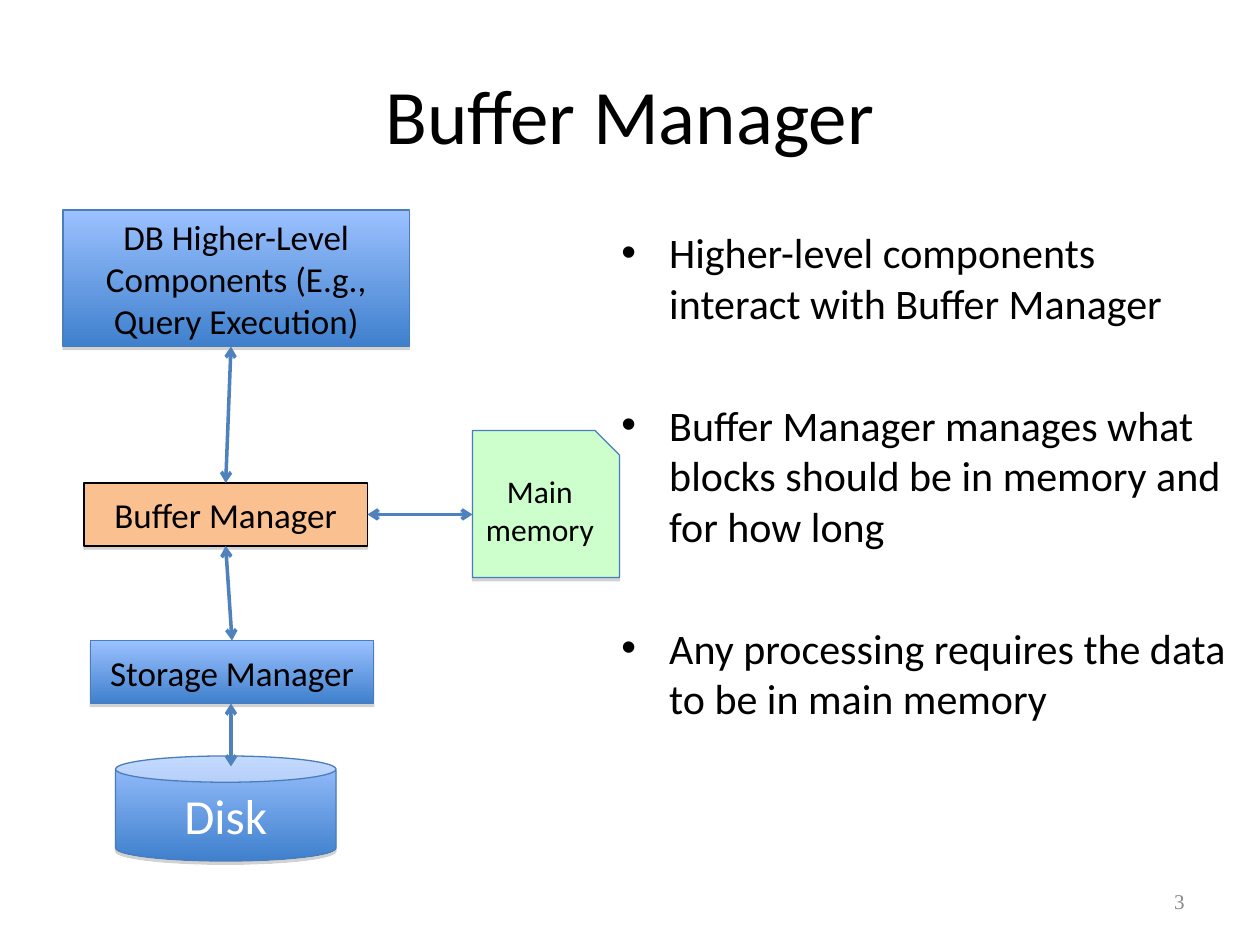
from lxml.etree import SubElement
from pptx import Presentation
from pptx.dml.color import RGBColor
from pptx.enum.shapes import MSO_CONNECTOR as Connector, MSO_SHAPE as Shape
from pptx.enum.text import MSO_ANCHOR as Anchor, PP_ALIGN as Align
from pptx.oxml.ns import qn
from pptx.util import Inches, Pt

BLACK = RGBColor(0x00, 0x00, 0x00)
WHITE = RGBColor(0xFF, 0xFF, 0xFF)
GREY = RGBColor(0x89, 0x89, 0x89)
SKY = RGBColor(0x9B, 0xC1, 0xFF)
BLUE = RGBColor(0x3F, 0x80, 0xCD)
OUTLINE = RGBColor(0x4A, 0x7E, 0xBB)
ARROW = RGBColor(0x4F, 0x81, 0xBD)
ORANGE = RGBColor(0xFA, 0xC0, 0x90)
GREEN = RGBColor(0xCC, 0xFF, 0xCC)

COLUMNS, ROWS = 120, 90
WIDTH, HEIGHT = Inches(10), Inches(7.5)
TOP, LEFT, BOTTOM, RIGHT = range(4)

POINTS = [
    "Higher-level components interact with Buffer Manager",
    "Buffer Manager manages what blocks should be in memory and for how long",
    "Any processing requires the data to be in main memory",
]


def col(n):
    return round(WIDTH * n / COLUMNS)


def row(n):
    return round(HEIGHT * n / ROWS)


def area(x, y, w, h):
    """Turn grid columns and rows into slide lengths."""
    return col(x), row(y), col(w), row(h)


def add_bullet(paragraph, indent):
    props = paragraph._p.get_or_add_pPr()
    props.set("marL", str(indent))
    props.set("indent", str(-indent))
    SubElement(props, qn("a:buFont"), typeface="Arial")
    SubElement(props, qn("a:buChar"), char="•")


def write(frame, *texts, size, color=BLACK, font="Calibri", align=Align.CENTER,
          anchor=Anchor.MIDDLE, bullet_indent=None, gap=0):
    frame.word_wrap = True
    frame.vertical_anchor = anchor
    for i, text in enumerate(texts):
        paragraph = frame.add_paragraph() if i else frame.paragraphs[0]
        paragraph.alignment = align
        if i:
            paragraph.space_before = Pt(gap)
        if bullet_indent:
            add_bullet(paragraph, bullet_indent)
        run = paragraph.add_run()
        run.text = text
        run.font.name = font
        run.font.size = Pt(size)
        run.font.color.rgb = color


def add_text(slide, place, *texts, **style):
    write(slide.shapes.add_textbox(*area(*place)).text_frame, *texts, **style)


def add_shadow(shape):
    shape.shadow.inherit = False
    effects = shape._element.spPr.find(qn("a:effectLst"))
    shadow = SubElement(effects, qn("a:outerShdw"), dist=str(Pt(1.8)),
                        dir="5400000", rotWithShape="0")
    color = SubElement(shadow, qn("a:srgbClr"), val="808080")
    SubElement(color, qn("a:alpha"), val="35000")


def add_component(slide, kind, place, label, fill=None, outline=OUTLINE, **style):
    """Add a labelled component; without a fill colour it gets the blue gradient."""
    component = slide.shapes.add_shape(kind, *area(*place))
    if fill is not None:
        component.fill.solid()
        component.fill.fore_color.rgb = fill
    else:
        component.fill.gradient()
        component.fill.gradient_angle = 270
        for stop, color in zip(component.fill.gradient_stops, (SKY, BLUE)):
            stop.color.rgb = color
    component.line.color.rgb = outline
    component.line.width = Pt(0.75)
    add_shadow(component)
    write(component.text_frame, label, **style)
    return component


def add_arrow(slide, start, end, begin=None, finish=None):
    """Draw a two-way arrow; begin and finish are (shape, side) joints."""
    arrow = slide.shapes.add_connector(
        Connector.STRAIGHT, col(start[0]), row(start[1]), col(end[0]), row(end[1]))
    if begin:
        arrow.begin_connect(*begin)
    if finish:
        arrow.end_connect(*finish)
    arrow.line.color.rgb = ARROW
    arrow.line.width = Pt(2)
    line = arrow.line._get_or_add_ln()
    for tip in ("a:headEnd", "a:tailEnd"):
        SubElement(line, qn(tip), type="arrow")
    SubElement(arrow._element.spPr, qn("a:effectLst"))


def main():
    deck = Presentation()
    deck.slide_width, deck.slide_height = WIDTH, HEIGHT
    slide = deck.slides.add_slide(deck.slide_layouts[6])

    # Title, explanation and slide number
    add_text(slide, (6, 3.6, 108, 14.4), "Buffer Manager", size=44)
    add_text(slide, (58, 21, 60, 59.4), *POINTS, size=24, align=Align.LEFT,
             anchor=Anchor.TOP, bullet_indent=Inches(0.38), gap=41)
    add_text(slide, (86, 83.4, 28, 4.8), "3", size=12, color=GREY,
             font="Times New Roman", align=Align.RIGHT)

    # Components, from the disk upwards
    add_component(slide, Shape.CAN, (11, 72, 21, 10), "Disk", size=28, color=WHITE)
    storage = add_component(slide, Shape.RECTANGLE, (8.6, 61, 27, 6),
                            "Storage Manager", size=20)
    add_component(slide, Shape.RECTANGLE, (6, 20, 33, 13),
                  "DB Higher-Level Components (E.g., Query Execution)", size=20)
    buffer = add_component(slide, Shape.RECTANGLE, (8, 46, 27, 6), "Buffer Manager",
                           fill=ORANGE, outline=BLACK, size=20)
    add_component(slide, Shape.SNIP_1_RECTANGLE, (45, 41, 14, 14), "Main memory",
                  fill=GREEN, size=18)

    # Two-way data flow
    add_arrow(slide, (22, 67), (22, 73))
    add_arrow(slide, (22, 33), (21.5, 46), finish=(buffer, TOP))
    add_arrow(slide, (21.5, 52), (22, 61), (buffer, BOTTOM), (storage, TOP))
    add_arrow(slide, (35, 49), (45, 49), begin=(buffer, RIGHT))

    deck.save("out.pptx")


if __name__ == "__main__":
    main()
